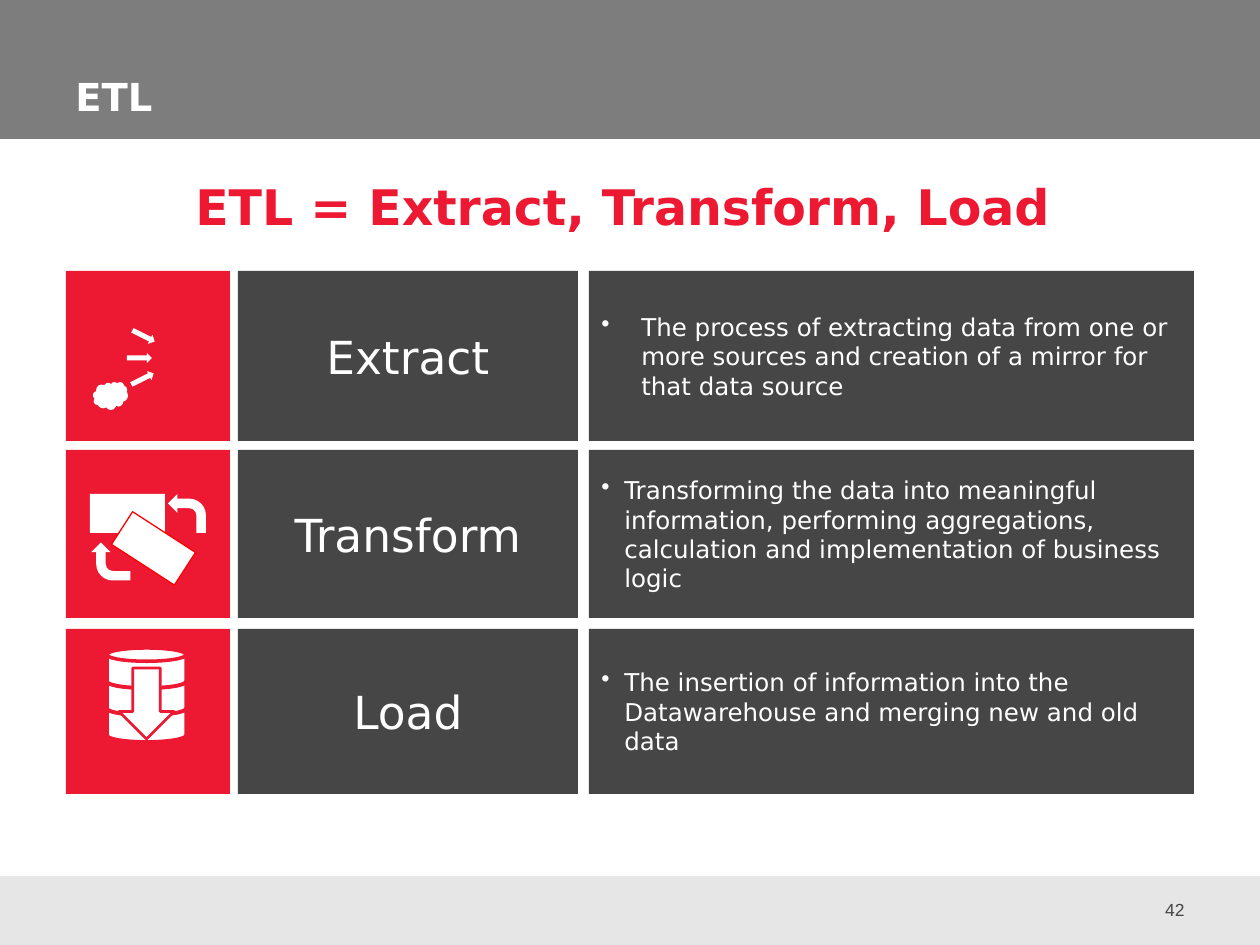
import pptx
import pptx.util
import pptx.dml.color
import pptx.enum.shapes
import pptx.enum.text
import pptx.oxml.ns
from lxml import etree

PX = 914400 / 126  # EMU in one px
SHAPE = pptx.enum.shapes.MSO_SHAPE
ALIGN = pptx.enum.text.PP_ALIGN
ANCHOR = pptx.enum.text.MSO_ANCHOR
RED, DARK, WHITE = "ED1933", "464646", "FFFFFF"
SANS = "DejaVu Sans"


def px(n):
    return pptx.util.Emu(round(n * PX))


def rgb(color):
    return pptx.dml.color.RGBColor.from_string(color)


def add_shape(shapes, kind, box, fill, line=None, width=1, rotation=0):
    s = shapes.add_shape(kind, *map(px, box))
    s.shadow.inherit = False
    s.fill.solid()
    s.fill.fore_color.rgb = rgb(fill)
    s.rotation = rotation
    if line:
        s.line.color.rgb = rgb(line)
        s.line.width = pptx.util.Pt(width)
    else:
        s.line.fill.background()
    return s


def set_text(s, text, size, color=WHITE, name=SANS, bold=False,
             align=ALIGN.LEFT, anchor=ANCHOR.MIDDLE, indent=0):
    tf = s.text_frame
    tf.word_wrap = True
    tf.vertical_anchor = anchor
    p = tf.paragraphs[0]
    p.alignment = align
    if indent:
        pPr = p._p.get_or_add_pPr()
        pPr.set("marL", str(px(indent)))
        pPr.set("indent", str(-px(indent)))
        bullet = etree.SubElement(pPr, pptx.oxml.ns.qn("a:buChar"))
        bullet.set("char", "•")
    r = p.add_run()
    r.text = text
    font = {"name": name, "size": pptx.util.Pt(size), "bold": bold}
    for key, value in font.items():
        setattr(r.font, key, value)
    r.font.color.rgb = rgb(color)


def add_text(shapes, box, text, size, **fmt):
    set_text(shapes.add_textbox(*map(px, box)), text, size, **fmt)


def extract_icon(shapes, x, y):
    add_shape(shapes, SHAPE.CLOUD, (x + 27, y + 111, 35, 28), WHITE)
    for dx, dy, angle in ((65, 60, 26.6), (61, 82, 0), (64, 103, 333.7)):
        add_shape(shapes, SHAPE.RIGHT_ARROW, (x + dx, y + dy, 25, 10), WHITE,
                  rotation=angle)


def transform_icon(shapes, x, y):
    add_shape(shapes, SHAPE.RECTANGLE, (x + 24, y + 44, 75, 39), WHITE)
    add_shape(shapes, SHAPE.RECTANGLE, (x + 50, y + 79, 75, 39), WHITE,
              line="FF0000", width=0.75, rotation=32.9)
    add_shape(shapes, SHAPE.BENT_ARROW, (x + 26, y + 92, 38, 39), WHITE,
              rotation=270)
    back = add_shape(shapes, SHAPE.BENT_ARROW, (x + 102, y + 44, 38, 39), WHITE)
    back._element.spPr.xfrm.set("flipH", "1")


def load_icon(shapes, x, y):
    for level in (2, 1, 0):  # bottom disk first
        add_shape(shapes, SHAPE.FLOWCHART_MAGNETIC_DISK,
                  (x + 41, y + 19 + 27 * level, 79, 40), WHITE, RED, 2)
    add_shape(shapes, SHAPE.DOWN_ARROW, (x + 53, y + 39, 55, 71), WHITE,
              RED, 1.5)


def add_step(shapes, box, name, detail, indent, draw_icon):
    x, y, w, h = box
    # Name, icon tile and description
    s = add_shape(shapes, SHAPE.RECTANGLE, (x + 172, y, 340, h), DARK)
    set_text(s, name, 26, align=ALIGN.CENTER)
    add_shape(shapes, SHAPE.RECTANGLE, (x, y, 164, h), RED)
    s = add_shape(shapes, SHAPE.RECTANGLE, (x + 523, y, w - 523, h), DARK)
    set_text(s, detail, 14, indent=indent)
    group = shapes.add_group_shape()
    draw_icon(group.shapes, x, y)


def add_header(shapes, box):
    x, y, w, h = box
    add_shape(shapes, SHAPE.RECTANGLE, box, "7D7D7D")
    add_text(shapes, (x + 63, y + 47, 1119, 78), "ETL", 22, bold=True,
             anchor=ANCHOR.BOTTOM)


def add_footer(shapes, box):
    x, y, w, h = box
    add_shape(shapes, SHAPE.RECTANGLE, box, "E6E6E6")
    add_text(shapes, (x + w - 126, y + 9, 63, 50), "42", 10, color=DARK,
             name="Arial", align=ALIGN.RIGHT)


STEPS = (
    ("Extract", "The process of extracting data from one or more sources and "
     "creation of a mirror for that data source", 40, 170, extract_icon),
    ("Transform", "Transforming the data into meaningful information, "
     "performing aggregations, calculation and implementation of business "
     "logic", 23, 168, transform_icon),
    ("Load", "The insertion of information into the Datawarehouse and merging "
     "new and old data", 23, 165, load_icon),
)


def main():
    prs = pptx.Presentation()
    prs.slide_width, prs.slide_height = px(1260), px(945)
    shapes = prs.slides.add_slide(prs.slide_layouts[6]).shapes

    add_header(shapes, (0, 0, 1260, 139))
    add_footer(shapes, (0, 876, 1260, 69))
    add_text(shapes, (183, 170, 910, 72), "ETL = Extract, Transform, Load", 28,
             color=RED, bold=True, anchor=ANCHOR.TOP)
    for i, (name, detail, indent, height, draw_icon) in enumerate(STEPS):
        add_step(shapes, (66, 271 + 179 * i, 1128, height), name, detail,
                 indent, draw_icon)
    prs.save("out.pptx")


if __name__ == "__main__":
    main()
